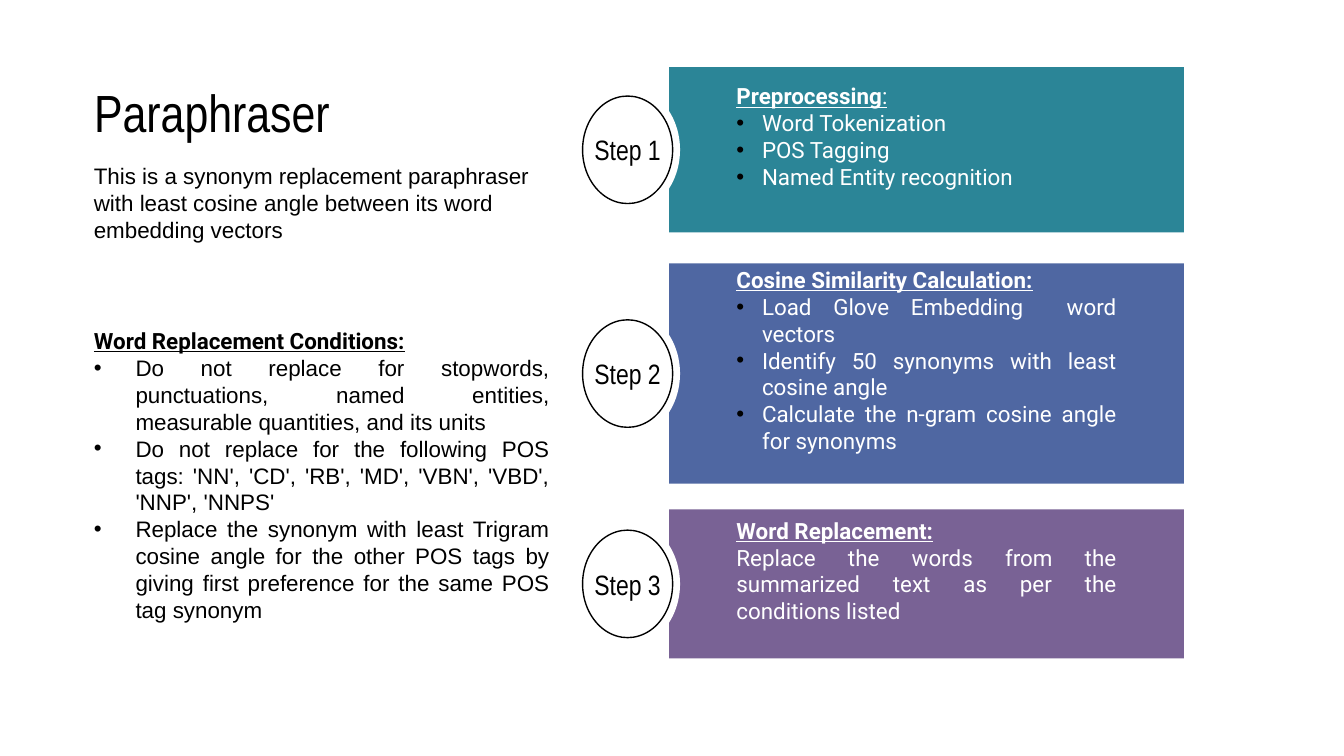
from lxml import etree
from pptx import Presentation
from pptx.dml.color import RGBColor
from pptx.enum.shapes import MSO_SHAPE
from pptx.enum.text import MSO_ANCHOR, MSO_AUTO_SIZE, PP_ALIGN
from pptx.oxml.ns import qn
from pptx.util import Inches, Pt

RECTANGLE, OVAL = MSO_SHAPE.RECTANGLE, MSO_SHAPE.OVAL
TOP, MIDDLE = MSO_ANCHOR.TOP, MSO_ANCHOR.MIDDLE
LEFT, CENTER, JUSTIFY = PP_ALIGN.LEFT, PP_ALIGN.CENTER, PP_ALIGN.JUSTIFY
NO_AUTOFIT = MSO_AUTO_SIZE.NONE

BLACK = RGBColor(0x00, 0x00, 0x00)
WHITE = RGBColor(0xFF, 0xFF, 0xFF)
TEAL = RGBColor(0x2B, 0x85, 0x97)
BLUE = RGBColor(0x4F, 0x67, 0xA2)
PURPLE = RGBColor(0x79, 0x62, 0x95)

HEADING = {"font": "Roboto", "bold": True, "underline": True}
PANEL_TEXT = {"font": "Roboto", "color": WHITE, "align": JUSTIFY}
BULLET_INDENT = 0.19

INTRO = ("This is a synonym replacement paraphraser with least cosine angle "
         "between its word embedding vectors")
CONDITIONS = [
    "Do not replace for stopwords, punctuations, named entities, "
    "measurable quantities, and its units",
    "Do not replace for the following POS tags: 'NN', 'CD', 'RB', 'MD', "
    "'VBN', 'VBD', 'NNP', 'NNPS'",
    "Replace the synonym with least Trigram cosine angle for the other POS tags "
    "by giving first preference for the same POS tag synonym",
]
# panel top, panel height, colour, heading, plain heading ending, body, bullet indent
STEPS = [
    (0.5, 1.23, TEAL, "Preprocessing", ":",
     ["Word Tokenization", "POS Tagging", "Named Entity recognition"], BULLET_INDENT),
    (1.96, 1.64, BLUE, "Cosine Similarity Calculation:", "",
     ["Load Glove Embedding  word vectors",
      "Identify 50 synonyms with least cosine angle",
      "Calculate the n-gram cosine angle for synonyms"], BULLET_INDENT),
    (3.79, 1.11, PURPLE, "Word Replacement:", "",
     ["Replace the words from the summarized text as per the conditions listed"], 0),
]


def set_bullet(paragraph, indent):
    properties = paragraph._p.get_or_add_pPr()
    properties.set("marL", str(Inches(indent)))
    properties.set("indent", str(-Inches(indent)))
    color = etree.SubElement(properties, qn("a:buClr"))
    etree.SubElement(color, qn("a:srgbClr"), val=str(BLACK))
    etree.SubElement(properties, qn("a:buFont"), typeface="Arial")
    etree.SubElement(properties, qn("a:buChar"), char="•")


def write(frame, text, size=12, font="Arial", color=BLACK, bold=False,
          underline=False, align=LEFT, bullet_indent=0, same_line=False):
    """Add a paragraph, or a run to the last paragraph when same_line is set."""
    if same_line or not frame.text:
        paragraph = frame.paragraphs[-1]
    else:
        paragraph = frame.add_paragraph()
    paragraph.alignment = align
    if bullet_indent:
        set_bullet(paragraph, bullet_indent)
    run = paragraph.add_run()
    run.text = text
    run.font.size, run.font.name = Pt(size), font
    run.font.bold, run.font.underline = bold, underline
    run.font.color.rgb = color


def set_frame(shape, anchor=MIDDLE, side=0.1, top=0.1, bottom=0.1, wrap=True):
    frame = shape.text_frame
    frame.word_wrap = wrap
    frame.auto_size = NO_AUTOFIT
    frame.vertical_anchor = anchor
    frame.margin_left = frame.margin_right = Inches(side)
    frame.margin_top, frame.margin_bottom = Inches(top), Inches(bottom)
    return frame


def add_filled(slide, kind, left, top, width, height, fill, line=None):
    shape = slide.shapes.add_shape(
        kind, Inches(left), Inches(top), Inches(width), Inches(height))
    shape.shadow.inherit = False
    shape.fill.solid()
    shape.fill.fore_color.rgb = fill
    if line is None:
        shape.line.fill.background()
    else:
        shape.line.color.rgb = line
        shape.line.width = Pt(0.75)
    return shape


def add_text_box(slide, left, top, width, height):
    return slide.shapes.add_textbox(
        Inches(left), Inches(top), Inches(width), Inches(height))


def add_title(slide, left, top, width, height):
    title = slide.shapes.title
    title.left, title.top = Inches(left), Inches(top)
    title.width, title.height = Inches(width), Inches(height)
    write(set_frame(title), "Paraphraser", size=28, font="Arial Narrow")


def add_intro(slide, left, top, width, height):
    intro = add_text_box(slide, left, top, width, height)
    write(set_frame(intro, anchor=TOP, top=0.05, bottom=0.05), INTRO)


def add_conditions(slide, left, top, width, height):
    conditions = add_text_box(slide, left, top, width, height)
    frame = set_frame(conditions, bottom=0.3)
    write(frame, "Word Replacement Conditions:", align=JUSTIFY, **HEADING)
    for condition in CONDITIONS:
        write(frame, condition, align=JUSTIFY, bullet_indent=0.31)


def add_badge(slide, center_x, center_y, label):
    """Place an outlined oval on a wider white one that cuts into the panel."""
    for width, height, line in [(0.78, 0.94, None), (0.67, 0.8, BLACK)]:
        oval = add_filled(slide, OVAL, center_x - width / 2, center_y - height / 2,
                          width, height, WHITE, line)
    frame = set_frame(oval, side=0, wrap=False)
    write(frame, label, size=15, font="Arial Narrow", align=CENTER)


def add_step(slide, left, top, width, height, number, fill,
             heading, ending, body, bullet_indent):
    panel = add_filled(slide, RECTANGLE, left, top, width, height, fill)
    frame = set_frame(panel, side=0.5, bottom=0.3)
    write(frame, heading, color=WHITE, **HEADING)
    if ending:
        write(frame, ending, font="Roboto", color=WHITE, underline=True, same_line=True)
    for line in body:
        write(frame, line, bullet_indent=bullet_indent, **PANEL_TEXT)
    add_badge(slide, left - 0.31, top + height / 2, f"Step {number}")


def main():
    deck = Presentation()
    deck.slide_width = Inches(10)
    deck.slide_height = deck.slide_width * 9 // 16
    slide = deck.slides.add_slide(deck.slide_layouts[5])
    add_title(slide, 0.6, 0.5, 2.73, 0.66)
    add_intro(slide, 0.6, 1.16, 3.53, 0.71)
    add_conditions(slide, 0.6, 2.38, 3.59, 2.51)
    for number, (top, height, *content) in enumerate(STEPS, start=1):
        add_step(slide, 4.98, top, 3.83, height, number, *content)
    deck.save("out.pptx")


if __name__ == "__main__":
    main()
